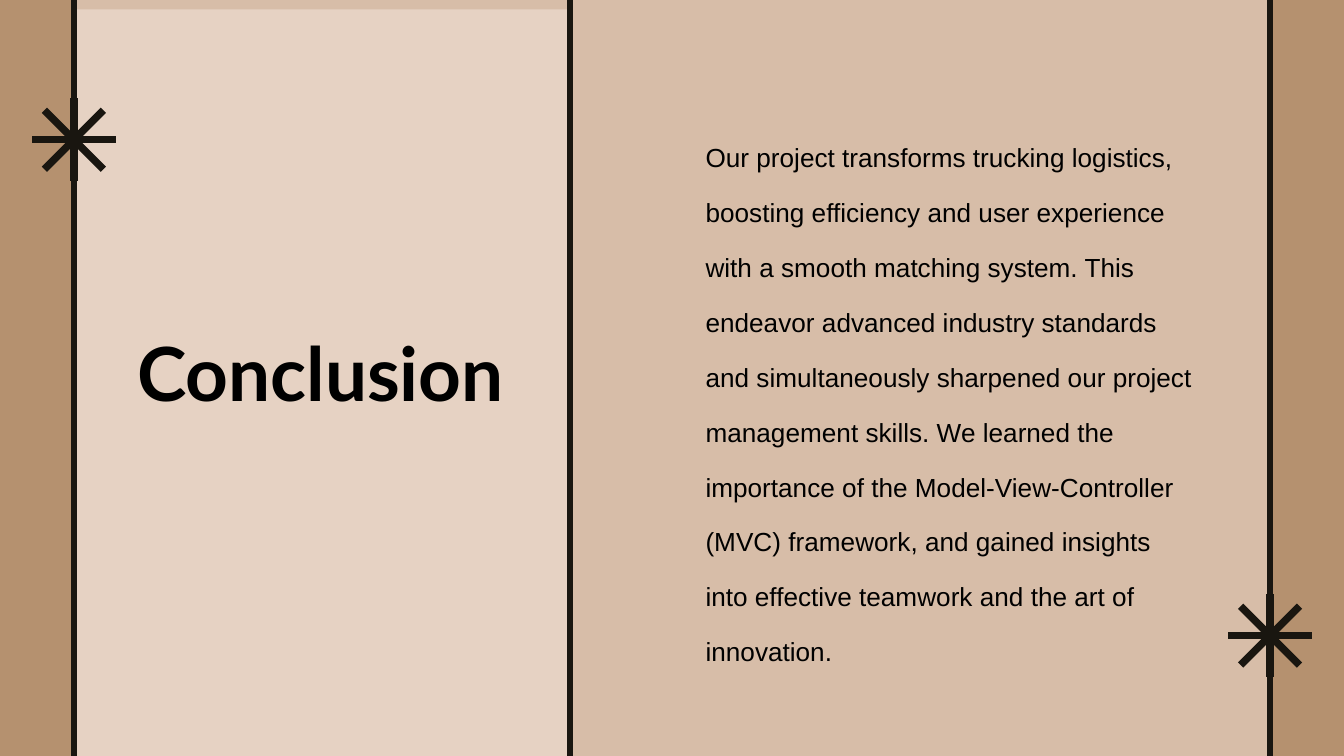
from math import cos, pi, sin

from lxml import etree
from pptx import Presentation
from pptx.dml.color import RGBColor
from pptx.enum import shapes, text
from pptx.oxml.ns import qn
from pptx.util import Inches, Pt

BLACK = RGBColor(0x00, 0x00, 0x00)
INK = RGBColor(0x19, 0x16, 0x10)
SAND = RGBColor(0xD7, 0xBD, 0xA8)
TAN = RGBColor(0xB5, 0x91, 0x6F)
CREAM = RGBColor(0xE6, 0xD2, 0xC3)

SLIDE_WIDTH = 10
SLIDE_HEIGHT = SLIDE_WIDTH * 9 / 16
LEFT_RULE, MIDDLE_RULE, RIGHT_RULE = 0.55, 4.24, 9.45
RULE_TOP, RULE_BOTTOM = -3.59, 6.77
STAR_RADIUS = 0.31

SUMMARY = (
    "Our project transforms trucking logistics, boosting efficiency and user "
    "experience with a smooth matching system. This endeavor advanced industry "
    "standards and simultaneously sharpened our project management skills. We "
    "learned the importance of the Model-View-Controller (MVC) framework, and "
    "gained insights into effective teamwork and the art of innovation."
)


def add_panel(slide, left, top, width, height, color):
    panel = slide.shapes.add_shape(
        shapes.MSO_SHAPE.RECTANGLE,
        Inches(left), Inches(top), Inches(width), Inches(height))
    panel.shadow.inherit = False
    panel.fill.solid()
    panel.fill.fore_color.rgb = color
    panel.line.fill.background()


def add_stroke(container, x1, y1, x2, y2, weight):
    stroke = container.add_connector(
        shapes.MSO_CONNECTOR.STRAIGHT,
        Inches(x1), Inches(y1), Inches(x2), Inches(y2))
    stroke.line.color.rgb = INK
    stroke.line.width = Pt(weight)
    etree.SubElement(stroke._element.spPr, qn("a:effectLst"))


def add_star(slide, x, y):
    star = slide.shapes.add_group_shape()
    for step in range(4):
        dx = STAR_RADIUS * cos(step * pi / 4)
        dy = STAR_RADIUS * sin(step * pi / 4)
        add_stroke(star.shapes, x - dx, y - dy, x + dx, y + dy, 4)


def write_text(box, wording, font, size, bold=False):
    frame = box.text_frame
    frame.text = wording
    frame.word_wrap = True
    frame.auto_size = text.MSO_AUTO_SIZE.SHAPE_TO_FIT_TEXT
    frame.vertical_anchor = text.MSO_ANCHOR.TOP
    frame.margin_left = frame.margin_right = 0
    frame.margin_top = frame.margin_bottom = 0
    paragraph = frame.paragraphs[0]
    style = paragraph.runs[0].font
    style.name = font
    style.size = Pt(size)
    style.bold = bold
    style.color.rgb = BLACK
    return paragraph


def add_title(slide):
    title = slide.shapes.title
    title.left, title.top = Inches(0.55), Inches(2.43)
    title.width, title.height = Inches(3.67), Inches(0.67)
    heading = write_text(title, "Conclusion", "Lato", 40, bold=True)
    heading.alignment = text.PP_ALIGN.CENTER
    title._element.getparent().append(title._element)


def add_summary(slide):
    box = slide.shapes.add_textbox(
        Inches(4.75), Inches(0.88), Inches(4.16), Inches(3.95))
    paragraph = write_text(box, SUMMARY, "Arial", 14)
    paragraph.line_spacing = 1.75
    indent = paragraph._p.get_or_add_pPr()
    indent.set("marL", str(Inches(0.5)))
    indent.set("indent", "0")


def main():
    deck = Presentation()
    deck.slide_width = Inches(SLIDE_WIDTH)
    deck.slide_height = Inches(SLIDE_HEIGHT)
    slide = deck.slides.add_slide(deck.slide_layouts.get_by_name("Title Only"))
    slide.background.fill.solid()
    slide.background.fill.fore_color.rgb = SAND

    for left in (-0.75, 9.46):
        add_panel(slide, left, -0.58, 1.31, 6.4, TAN)
    add_panel(slide, 0.56, 0.07, 3.66, 5.62, CREAM)
    add_title(slide)
    for x in (MIDDLE_RULE, LEFT_RULE, RIGHT_RULE):
        add_stroke(slide.shapes, x, RULE_TOP, x, RULE_BOTTOM, 3)
    add_star(slide, LEFT_RULE, 1.04)
    add_star(slide, RIGHT_RULE, 4.73)
    add_summary(slide)

    deck.save("out.pptx")


if __name__ == "__main__":
    main()
